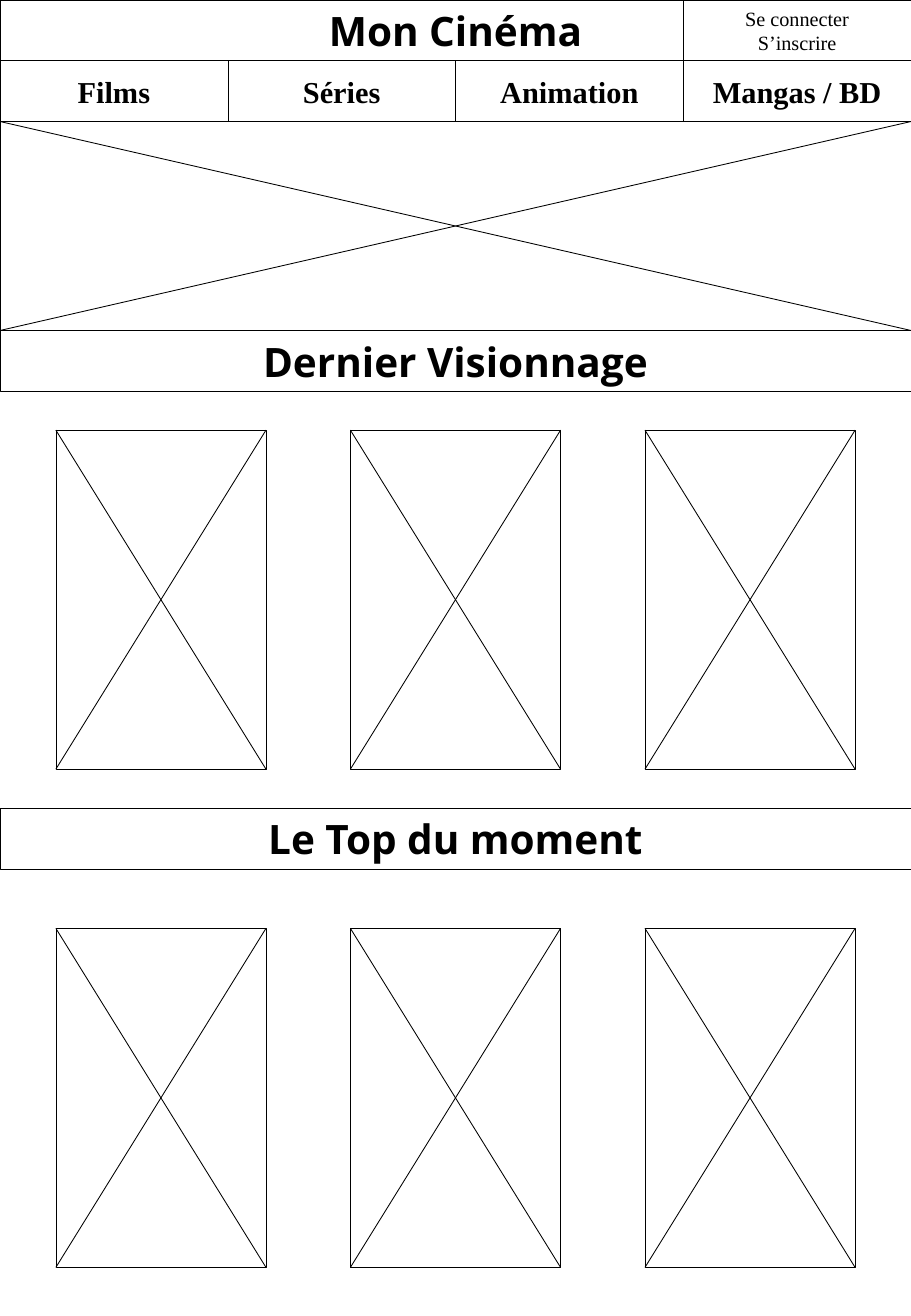
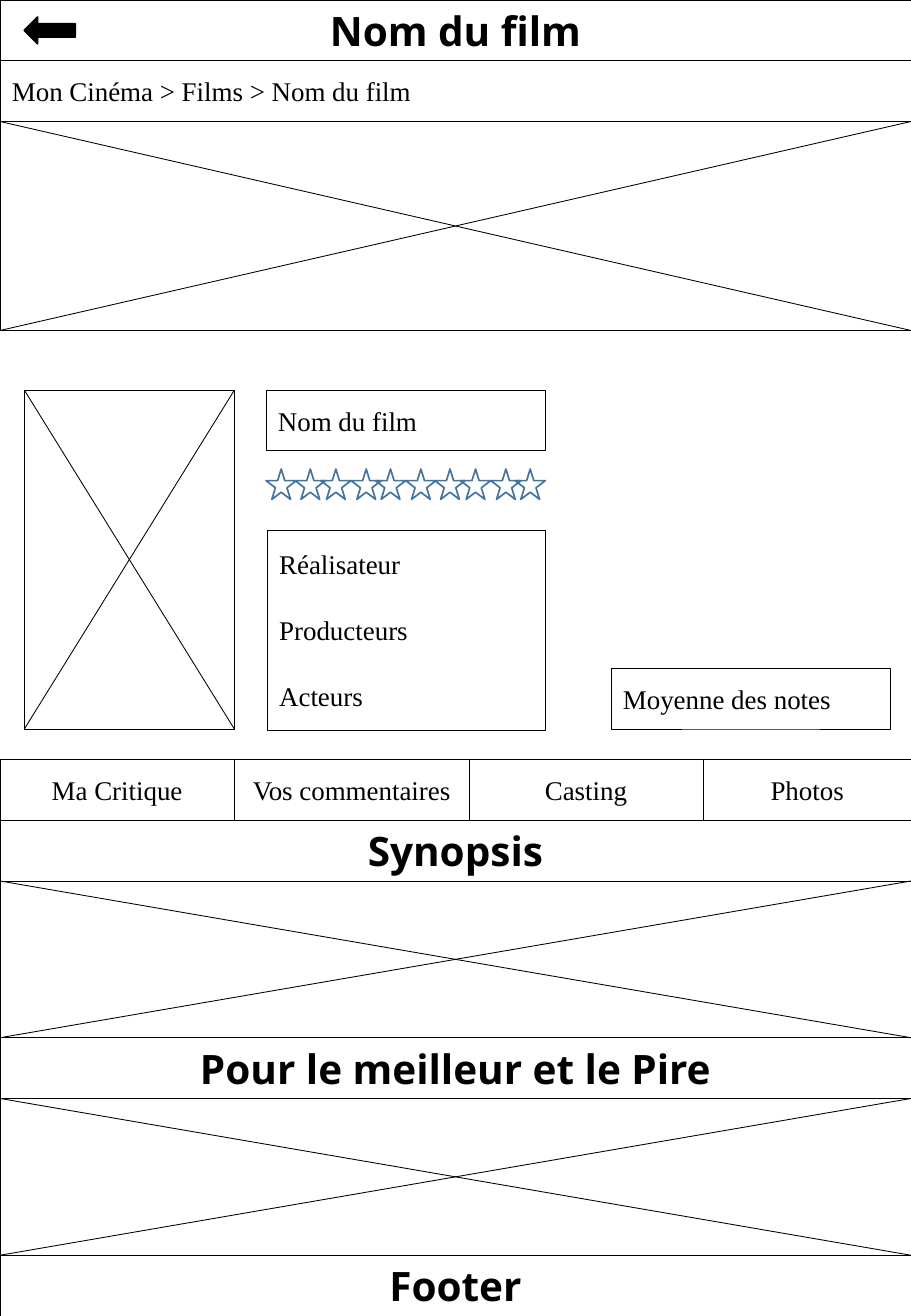
"""Build the two wireframe pages of a film catalogue site."""
from lxml import etree
from pptx import Presentation
from pptx import util as u
from pptx.dml.color import RGBColor
from pptx.enum import shapes, text
from pptx.oxml.ns import qn

WIDTH, HEIGHT = 7.5, 10.83
ROW = 0.5
BANNER_HEIGHT = 1.72
POSTER_WIDTH, POSTER_HEIGHT = 1.73, 2.79
TITLE_ONLY = 5

BLACK = RGBColor(0x00, 0x00, 0x00)
STAR_BLUE = RGBColor(0x43, 0x73, 0x9E)

HEADING = {"name": "Open Sans", "size": u.Pt(24), "bold": True}
MENU = {"name": "Times New Roman", "size": u.Pt(18), "bold": True}
BODY = {"name": "Times New Roman", "size": u.Pt(16), "bold": False}
SMALL = {"name": "Times New Roman", "size": u.Pt(12), "bold": False}

LEFT, CENTER = text.PP_ALIGN.LEFT, text.PP_ALIGN.CENTER
SHAPE = shapes.MSO_SHAPE


def inches(*lengths):
    """Convert lengths in inches to slide units."""
    return [u.Inches(length) for length in lengths]


def outline(item, color=BLACK, width=0.25):
    """Draw the border of a shape or connector."""
    item.line.color.rgb = color
    item.line.width = u.Pt(width)


def add_figure(parent, kind, at, color=BLACK, width=0.25, fill=None):
    """Add a preset shape without shadow, hollow unless a fill is given."""
    figure = parent.shapes.add_shape(kind, *inches(*at))
    figure.shadow.inherit = False
    if fill is None:
        figure.fill.background()
    else:
        figure.fill.solid()
        figure.fill.fore_color.rgb = fill
    outline(figure, color, width)
    return figure


def write(box, lines, style, align, gap=0):
    """Write one paragraph per line, vertically centred in the box."""
    frame = box.text_frame
    settings = {"word_wrap": True, "auto_size": text.MSO_AUTO_SIZE.NONE,
                "vertical_anchor": text.MSO_ANCHOR.MIDDLE}
    for name, value in settings.items():
        setattr(frame, name, value)
    for index, line in enumerate(lines):
        para = frame.add_paragraph() if index else frame.paragraphs[0]
        para.alignment = align
        para.space_before = u.Pt(gap if index else 0)
        span = para.add_run()
        span.text = line
        span.font.color.rgb = BLACK
        for name, value in style.items():
            setattr(span.font, name, value)


def add_box(page, at, *lines, style=BODY, align=LEFT, gap=0):
    """Add a bordered box holding text."""
    write(add_figure(page, SHAPE.RECTANGLE, at), lines, style, align, gap)


def add_heading(page, top, words):
    """Add a full-width section heading."""
    add_box(page, (0, top, WIDTH, ROW), words, style=HEADING, align=CENTER)


def add_tabs(page, top, step, labels, style):
    """Add a row of tabs, the last one ending at the page edge."""
    for index, label in enumerate(labels):
        left = index * step
        add_box(page, (left, top, min(step, WIDTH - left), ROW), label,
                style=style, align=CENTER)


def add_crossed_frame(page, left, top, width, height):
    """Add a grouped media frame with both diagonals."""
    group = page.shapes.add_group_shape()
    add_figure(group, SHAPE.RECTANGLE, (left, top, width, height))
    right, bottom = left + width, top + height
    for ends in ((left, bottom, right, top), (left, top, right, bottom)):
        diagonal = group.shapes.add_connector(
            shapes.MSO_CONNECTOR.STRAIGHT, *inches(*ends))
        outline(diagonal, width=0.5)
        etree.SubElement(diagonal._element.spPr, qn("a:effectLst"))


def add_poster_row(page, top, count=3, margin=0.46):
    """Add evenly spaced posters between the page margins."""
    step = (WIDTH - 2 * margin - POSTER_WIDTH) / (count - 1)
    for index in range(count):
        add_crossed_frame(page, margin + index * step, top,
                          POSTER_WIDTH, POSTER_HEIGHT)


def add_rating(page, left, top, size=0.25, half=1.15):
    """Add ten stars as two equal runs of five."""
    for start in (left, left + half):
        for offset in (0, 0.24, 0.45, 0.7, 0.9):
            add_figure(page, SHAPE.STAR_5_POINT,
                       (start + offset, top, size, size), STAR_BLUE, 1)


def add_page(deck, title):
    """Add a page with its title band and banner."""
    page = deck.slides.add_slide(deck.slide_layouts[TITLE_ONLY])
    band = page.shapes.title
    band.left, band.top, band.width, band.height = inches(0, 0, WIDTH, ROW)
    outline(band)
    write(band, [title], HEADING, CENTER)
    add_crossed_frame(page, 0, 2 * ROW, WIDTH, BANNER_HEIGHT)
    return page


def build_home(deck):
    """Build the home page."""
    page = add_page(deck, "Mon Cinéma")
    column = WIDTH / 4
    add_tabs(page, ROW, column,
             ("Films", "Séries", "Animation", "Mangas / BD"), MENU)
    add_box(page, (3 * column, 0, column, ROW), "Se connecter", "S’inscrire",
            style=SMALL, align=CENTER)
    sections = ((2.72, "Dernier Visionnage", 3.54),
                (6.65, "Le Top du moment", 7.64))
    for top, words, posters_top in sections:
        add_heading(page, top, words)
        add_poster_row(page, posters_top)


def build_film(deck):
    """Build the film page."""
    page = add_page(deck, "Nom du film")
    add_figure(page, SHAPE.LEFT_ARROW, (0.2, 0.14, 0.42, 0.22),
               width=1, fill=BLACK)
    add_box(page, (0, ROW, WIDTH, ROW), "Mon Cinéma > Films > Nom du film")
    add_crossed_frame(page, 0.2, 3.21, POSTER_WIDTH, POSTER_HEIGHT)
    add_box(page, (2.19, 3.21, 2.3, ROW), "Nom du film")
    add_rating(page, 2.19, 3.86)
    add_box(page, (2.2, 4.36, 2.29, 1.65),
            "Réalisateur", "Producteurs", "Acteurs", gap=20)
    add_box(page, (5.03, 5.5, 2.3, ROW), "Moyenne des notes")
    add_tabs(page, 6.25, 1.93,
             ("Ma Critique", "Vos commentaires", "Casting", "Photos"), BODY)
    frame_height = 1.29
    for top, words in ((6.75, "Synopsis"),
                       (8.54, "Pour le meilleur et le Pire")):
        add_heading(page, top, words)
        add_crossed_frame(page, 0, top + ROW, WIDTH, frame_height)
    add_heading(page, HEIGHT - ROW, "Footer")


def main():
    """Create and save the deck."""
    deck = Presentation()
    deck.slide_width, deck.slide_height = inches(WIDTH, HEIGHT)
    build_home(deck)
    build_film(deck)
    deck.save("out.pptx")


if __name__ == "__main__":
    main()
